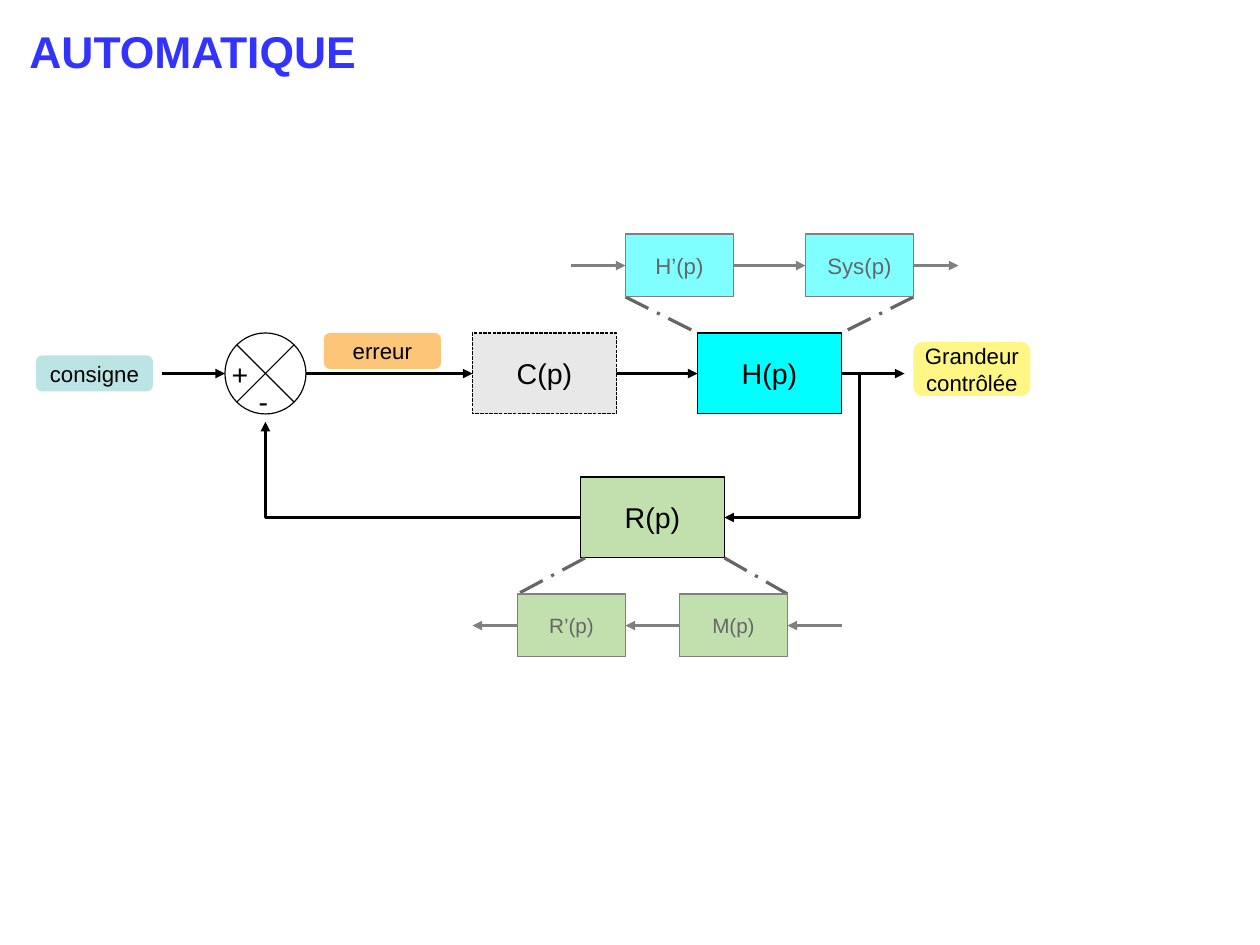
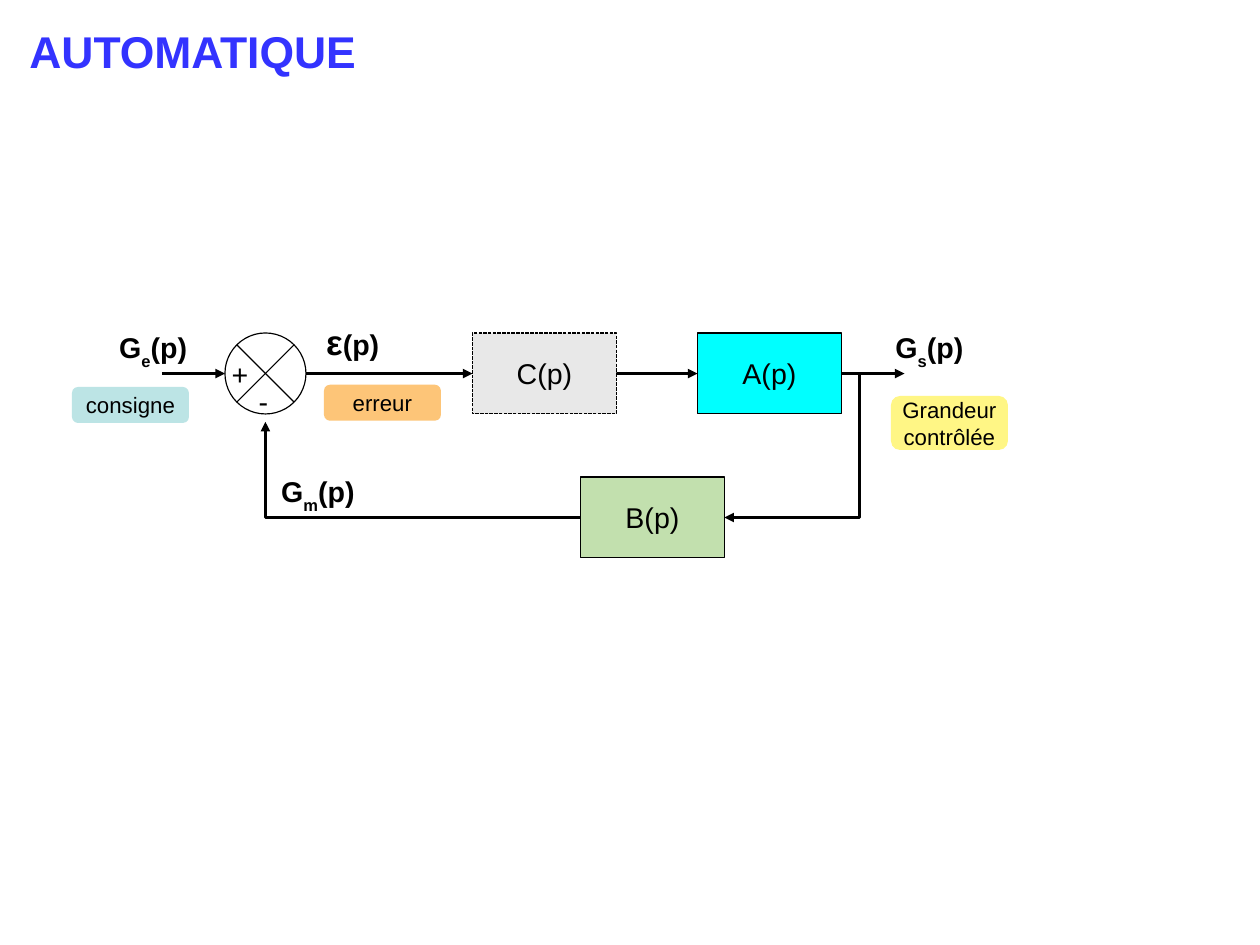
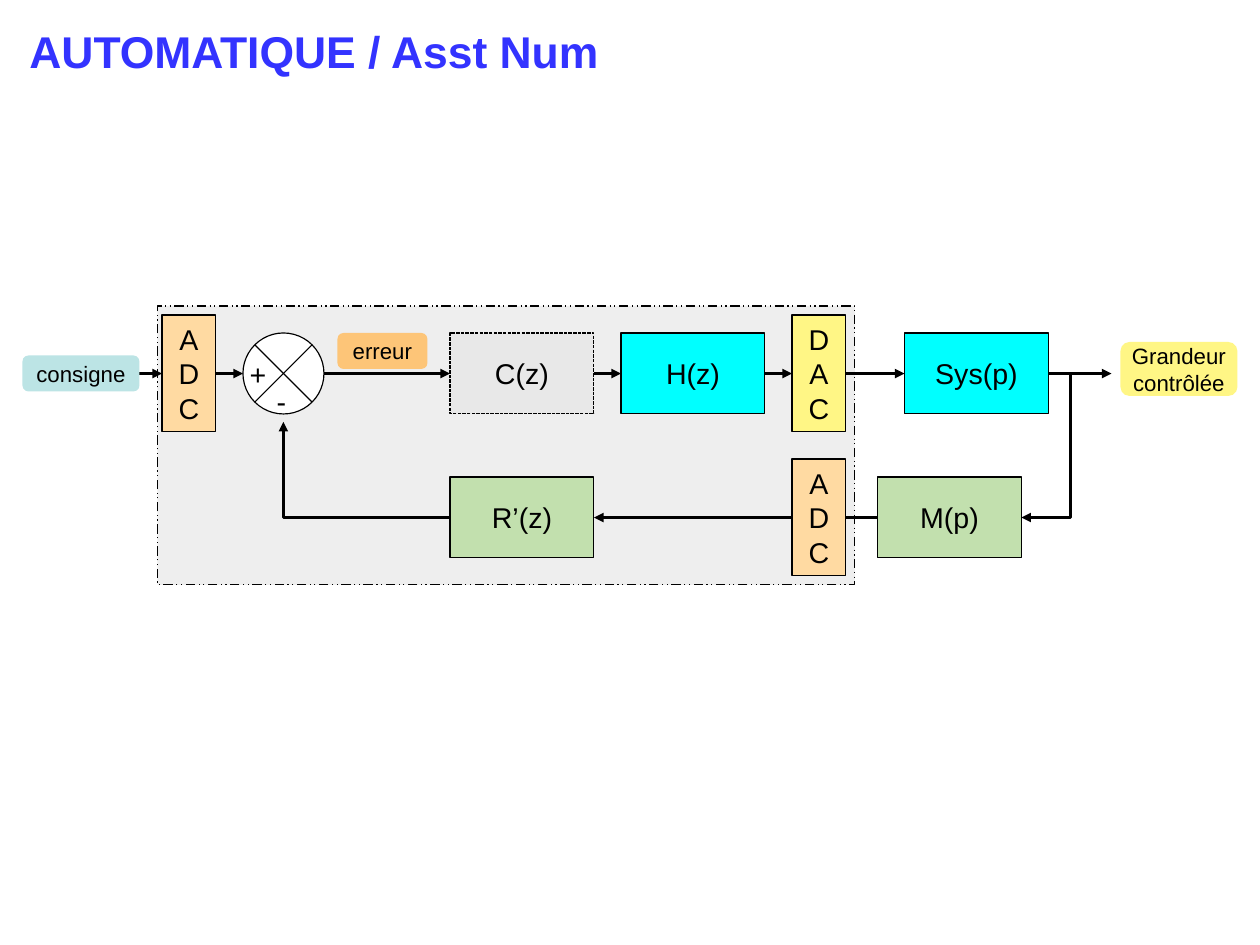
from copy import deepcopy
from dataclasses import dataclass, replace
from typing import Any, NamedTuple, Optional

from lxml.etree import SubElement
from pptx import Presentation
from pptx.dml.color import RGBColor
from pptx.enum.dml import MSO_LINE
from pptx.enum.shapes import MSO_CONNECTOR, MSO_SHAPE
from pptx.enum.text import MSO_ANCHOR, MSO_AUTO_SIZE, PP_ALIGN
from pptx.oxml.ns import qn
from pptx.slide import Slide
from pptx.text.text import TextFrame
from pptx.util import Mm, Pt

COLUMNS, ROWS = 280, 210
SLIDE_WIDTH, SLIDE_HEIGHT = Mm(280), Mm(210)


@dataclass(frozen=True)
class Theme:
    font: str = "Arial"
    title_size: int = 28
    epsilon_size: int = 22
    block_size: int = 18
    label_size: int = 14
    detail_size: int = 13
    title: str = "3333FF"
    ink: str = "000000"
    muted_ink: str = "666666"
    muted_line: str = "808080"
    white: str = "FFFFFF"
    zone: str = "EEEEEE"
    corrector: str = "E8E8E8"
    process: str = "00FFFF"
    feedback: str = "C2E0AE"
    setpoint: str = "BCE4E5"
    error: str = "FDC578"
    output: str = "FFF685"
    sampler: str = "FFDAA2"


THEME = Theme()


@dataclass(frozen=True)
class BoxStyle:
    width: float
    height: float
    fill: str
    line: Optional[str] = THEME.ink
    size: int = THEME.block_size
    ink: str = THEME.ink
    preset: MSO_SHAPE = MSO_SHAPE.RECTANGLE
    dash: Optional[MSO_LINE] = None
    opacity: int = 100


class Box(NamedTuple):
    left: float
    top: float
    text: str
    style: BoxStyle


class Piece(NamedTuple):
    text: str
    size: int = THEME.block_size
    baseline: int = 0


class Symbol(NamedTuple):
    left: float
    top: float
    pieces: tuple[Piece, ...]


class Link(NamedTuple):
    start: tuple[float, float]
    end: tuple[float, float]
    color: str = THEME.ink
    arrow: bool = True
    dash: Optional[MSO_LINE] = None
    corner: bool = False
    turn_column: Optional[float] = None


PROCESS = BoxStyle(32, 18, THEME.process)
CORRECTOR = replace(PROCESS, fill=THEME.corrector, dash=MSO_LINE.SQUARE_DOT)
FEEDBACK = replace(PROCESS, fill=THEME.feedback)
PROCESS_DETAIL = BoxStyle(24, 14, THEME.process, THEME.muted_line, THEME.label_size,
                          THEME.muted_ink, opacity=50)
FEEDBACK_DETAIL = replace(PROCESS_DETAIL, fill=THEME.feedback, size=THEME.detail_size, opacity=100)
SETPOINT = BoxStyle(26, 8, THEME.setpoint, None, THEME.label_size,
                    preset=MSO_SHAPE.ROUNDED_RECTANGLE)
ERROR = replace(SETPOINT, fill=THEME.error)
OUTPUT = replace(SETPOINT, fill=THEME.output, height=12)
SAMPLER = BoxStyle(12, 26, THEME.sampler)
HOLDER = replace(SAMPLER, fill=THEME.output)
JUNCTION = BoxStyle(18, 18, THEME.white, preset=MSO_SHAPE.FLOWCHART_SUMMING_JUNCTION)
ZONE = BoxStyle(155, 62, THEME.zone, dash=MSO_LINE.DASH_DOT_DOT)

BLOCK_TOP, FORWARD_ROW = 74, 83
RETURN_TOP, RETURN_ROW = 106, 115
JUNCTION_ENTRY_ROW = 93.75
OUTPUT_TEXT = "Grandeur\ncontrôlée"


def column(number: float) -> int:
    return round(SLIDE_WIDTH * number / COLUMNS)


def row(number: float) -> int:
    return round(SLIDE_HEIGHT * number / ROWS)


def apply_format(target: Any, values: dict[str, Any]) -> None:
    for name, value in values.items():
        setattr(target, name, value)


def format_font(font: Any, size: int, color: str, bold: bool = False) -> None:
    apply_format(font, {"name": THEME.font, "size": Pt(size), "bold": bold})
    font.color.rgb = RGBColor.from_string(color)


def format_line(line: Any, color: str, dash: Optional[MSO_LINE]) -> None:
    line.color.rgb = RGBColor.from_string(color)
    apply_format(line, {"width": Pt(0), "dash_style": dash})


def write_text(frame: TextFrame, text: str, size: int, color: str,
               alignment: PP_ALIGN, bold: bool = False) -> None:
    paragraph = frame.paragraphs[0]
    apply_format(paragraph, {"text": text, "alignment": alignment})
    for run in paragraph.runs:
        format_font(run.font, size, color, bold)
    for line_break in paragraph._p.findall(qn("a:br")):
        line_break.append(deepcopy(paragraph.runs[0]._r.find(qn("a:rPr"))))


def draw_box(slide: Slide, box: Box) -> None:
    style = box.style
    shape = slide.shapes.add_shape(style.preset, column(box.left), row(box.top),
                                   column(style.width), row(style.height))
    shape.shadow.inherit = False
    shape.fill.solid()
    shape.fill.fore_color.rgb = RGBColor.from_string(style.fill)
    if style.opacity < 100:
        color = shape._element.spPr.find(qn("a:solidFill"))[0]
        SubElement(color, qn("a:alpha"), val=str(style.opacity * 1000))
    if style.line is None:
        shape.line.fill.background()
    else:
        format_line(shape.line, style.line, style.dash)
    if box.text:
        apply_format(shape.text_frame, {"word_wrap": False, "vertical_anchor": MSO_ANCHOR.MIDDLE})
        write_text(shape.text_frame, box.text, style.size, style.ink, PP_ALIGN.CENTER)


def draw_link(slide: Slide, link: Link) -> None:
    bent = link.corner or link.turn_column is not None
    connector = slide.shapes.add_connector(
        MSO_CONNECTOR.ELBOW if bent else MSO_CONNECTOR.STRAIGHT,
        column(link.start[0]), row(link.start[1]), column(link.end[0]), row(link.end[1]))
    format_line(connector.line, link.color, link.dash)
    properties = connector._element.spPr
    geometry = properties.find(qn("a:prstGeom"))
    if link.corner:
        geometry.set("prst", "bentConnector2")
    if link.turn_column is not None:
        share = (link.turn_column - link.start[0]) / (link.end[0] - link.start[0])
        SubElement(geometry.find(qn("a:avLst")), qn("a:gd"),
                   name="adj1", fmla=f"val {round(share * 100000)}")
    if link.arrow:
        SubElement(properties.find(qn("a:ln")), qn("a:tailEnd"), type="triangle")
    SubElement(properties, qn("a:effectLst"))


def draw_flow(slide: Slide, line_row: float, spans: list[tuple[float, float]],
              color: str = THEME.ink) -> None:
    for start, end in spans:
        draw_link(slide, Link((start, line_row), (end, line_row), color))


def draw_zoom(slide: Slide, ends: list[tuple[tuple[float, float], tuple[float, float]]]) -> None:
    for start, end in ends:
        draw_link(slide, Link(start, end, THEME.muted_ink, False, MSO_LINE.LONG_DASH_DOT))


def draw_symbol(slide: Slide, symbol: Symbol, width: float = 22, height: float = 11.2,
                bold: bool = True) -> None:
    frame = slide.shapes.add_textbox(column(symbol.left), row(symbol.top),
                                     column(width), row(height)).text_frame
    frame.word_wrap = True
    for piece in symbol.pieces:
        run = frame.paragraphs[0].add_run()
        run.text = piece.text
        format_font(run.font, piece.size, THEME.ink, bold)
        if piece.baseline:
            run._r.get_or_add_rPr().set("baseline", str(piece.baseline * 1000))


def draw_junction(slide: Slide, left: float) -> None:
    draw_box(slide, Box(left, BLOCK_TOP, "", JUNCTION))
    for offset, top, sign in ((-1, 78, "+"), (5, 84, "-")):
        draw_symbol(slide, Symbol(left + offset, top, (Piece(sign),)), 8, 9.65, False)


def draw_return(slide: Slide, junction_left: float, feedback_left: float,
                output_column: float, turn_column: float, sensor_right: float) -> None:
    draw_link(slide, Link((feedback_left, RETURN_ROW),
                          (junction_left + JUNCTION.width / 2, JUNCTION_ENTRY_ROW), corner=True))
    draw_link(slide, Link((output_column, FORWARD_ROW), (sensor_right, RETURN_ROW),
                          turn_column=turn_column))


def draw_analog_loop(slide: Slide, process: str, feedback: str) -> None:
    draw_flow(slide, FORWARD_ROW, [(36, 50), (68, 105), (137, 155), (187, 201)])
    draw_return(slide, 50, 129, 187, 191, 161)
    draw_junction(slide, 50)
    for box in (Box(105, BLOCK_TOP, "C(p)", CORRECTOR),
                Box(155, BLOCK_TOP, process, PROCESS),
                Box(129, RETURN_TOP, feedback, FEEDBACK)):
        draw_box(slide, box)


def draw_labels(slide: Slide, setpoint: tuple[float, float], error: tuple[float, float],
                output: tuple[float, float], error_style: BoxStyle = ERROR) -> None:
    draw_box(slide, Box(*setpoint, "consigne", SETPOINT))
    draw_box(slide, Box(*error, "erreur", error_style))
    draw_box(slide, Box(*output, OUTPUT_TEXT, OUTPUT))


def add_titled_slide(presentation: Any, text: str) -> Slide:
    slide = presentation.slides.add_slide(presentation.slide_layouts[5])
    title = slide.shapes.title
    apply_format(title, {"left": column(4), "top": row(4),
                         "width": column(268), "height": row(24)})
    apply_format(title.text_frame, {"word_wrap": True, "auto_size": MSO_AUTO_SIZE.NONE,
                                    "vertical_anchor": MSO_ANCHOR.TOP})
    write_text(title.text_frame, text, THEME.title_size, THEME.title, PP_ALIGN.LEFT, True)
    return slide


def build_detailed_loop(presentation: Any) -> None:
    slide = add_titled_slide(presentation, "AUTOMATIQUE")
    draw_analog_loop(slide, "H(p)", "R(p)")
    draw_flow(slide, 59, [(127, 139), (163, 179), (203, 213)], THEME.muted_line)
    draw_flow(slide, 139, [(187, 175), (151, 139), (115, 105)], THEME.muted_line)
    draw_zoom(slide, [((139, 66), (155, 74)), ((203, 66), (187, 74)),
                      ((161, 124), (175, 132)), ((130, 124), (115, 132))])
    for box in (Box(139, 52, "H’(p)", PROCESS_DETAIL), Box(179, 52, "Sys(p)", PROCESS_DETAIL),
                Box(115, 132, "R’(p)", FEEDBACK_DETAIL), Box(151, 132, "M(p)", FEEDBACK_DETAIL)):
        draw_box(slide, box)
    draw_labels(slide, (8, 79), (72, 74), (203, 76))


def build_symbolic_loop(presentation: Any) -> None:
    slide = add_titled_slide(presentation, "AUTOMATIQUE")
    draw_analog_loop(slide, "A(p)", "B(p)")
    draw_labels(slide, (16, 86), (72, 85.5), (198, 88))
    for left, top, index in ((196.5, 72, "s"), (24, 72, "e"), (60, 104, "m")):
        draw_symbol(slide, Symbol(left, top, (Piece("G"), Piece(index, baseline=-33),
                                              Piece("(p)"))))
    draw_symbol(slide, Symbol(70, 70, (Piece("ε", THEME.epsilon_size), Piece("(p)"))))


def build_digital_loop(presentation: Any) -> None:
    slide = add_titled_slide(presentation, "AUTOMATIQUE / Asst Num")
    draw_box(slide, Box(35, 68, "", ZONE))
    draw_flow(slide, FORWARD_ROW, [(31, 36), (48, 54), (72, 100), (132, 138),
                                   (170, 176), (188, 201), (233, 247)])
    draw_flow(slide, RETURN_ROW, [(195, 132)])
    draw_return(slide, 54, 100, 233, 238, 227)
    draw_junction(slide, 54)
    for box in (Box(36, 70, "A\nD\nC", SAMPLER), Box(176, 102, "A\nD\nC", SAMPLER),
                Box(176, 70, "D\nA\nC", HOLDER), Box(100, BLOCK_TOP, "C(z)", CORRECTOR),
                Box(138, BLOCK_TOP, "H(z)", PROCESS), Box(201, BLOCK_TOP, "Sys(p)", PROCESS),
                Box(100, RETURN_TOP, "R’(z)", FEEDBACK), Box(195, RETURN_TOP, "M(p)", FEEDBACK)):
        draw_box(slide, box)
    draw_labels(slide, (5, 79), (75, 74), (249, 76), replace(ERROR, width=20))


def main() -> None:
    presentation = Presentation()
    apply_format(presentation, {"slide_width": SLIDE_WIDTH, "slide_height": SLIDE_HEIGHT})
    for build in (build_detailed_loop, build_symbolic_loop, build_digital_loop):
        build(presentation)
    presentation.save("out.pptx")


if __name__ == "__main__":
    main()
